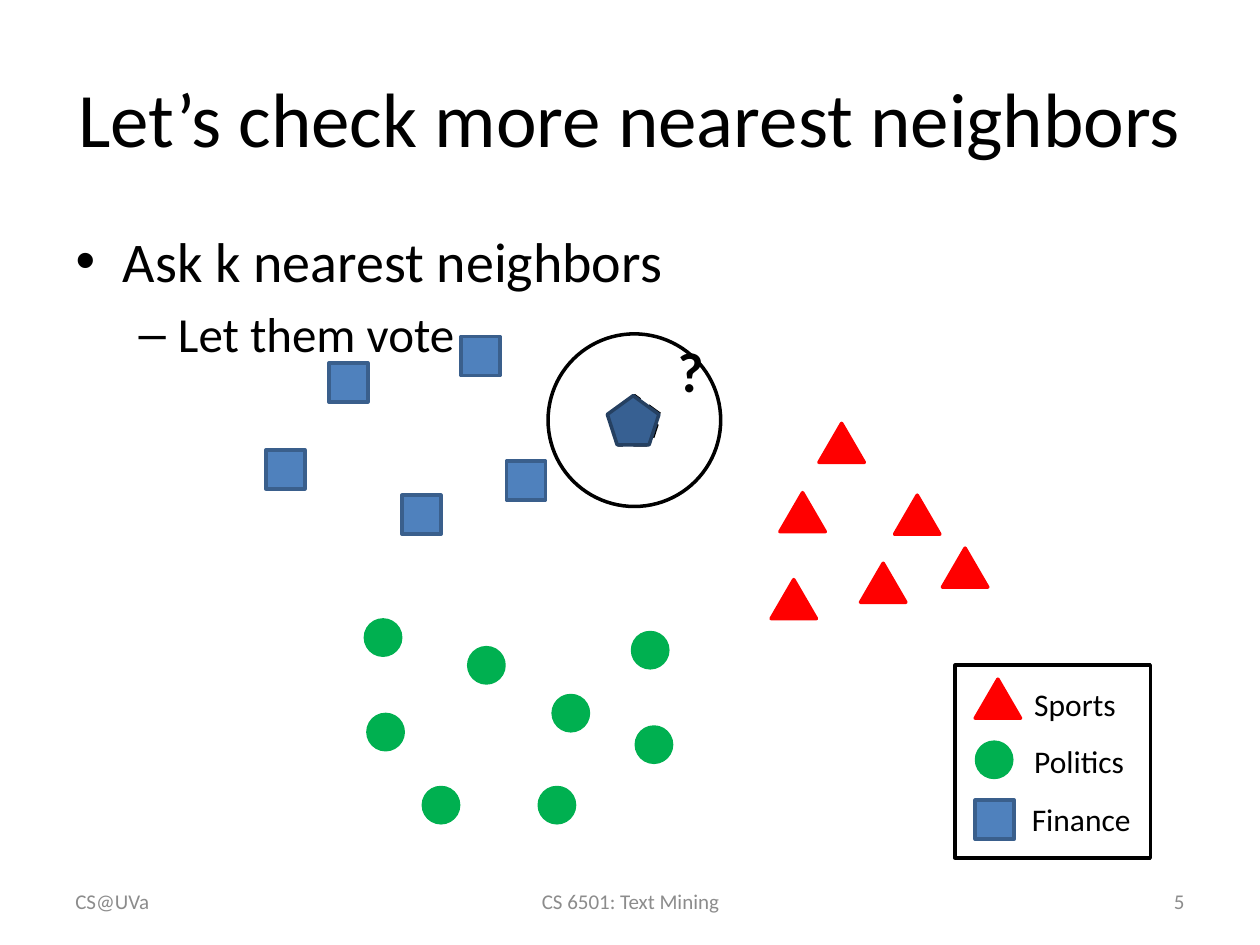
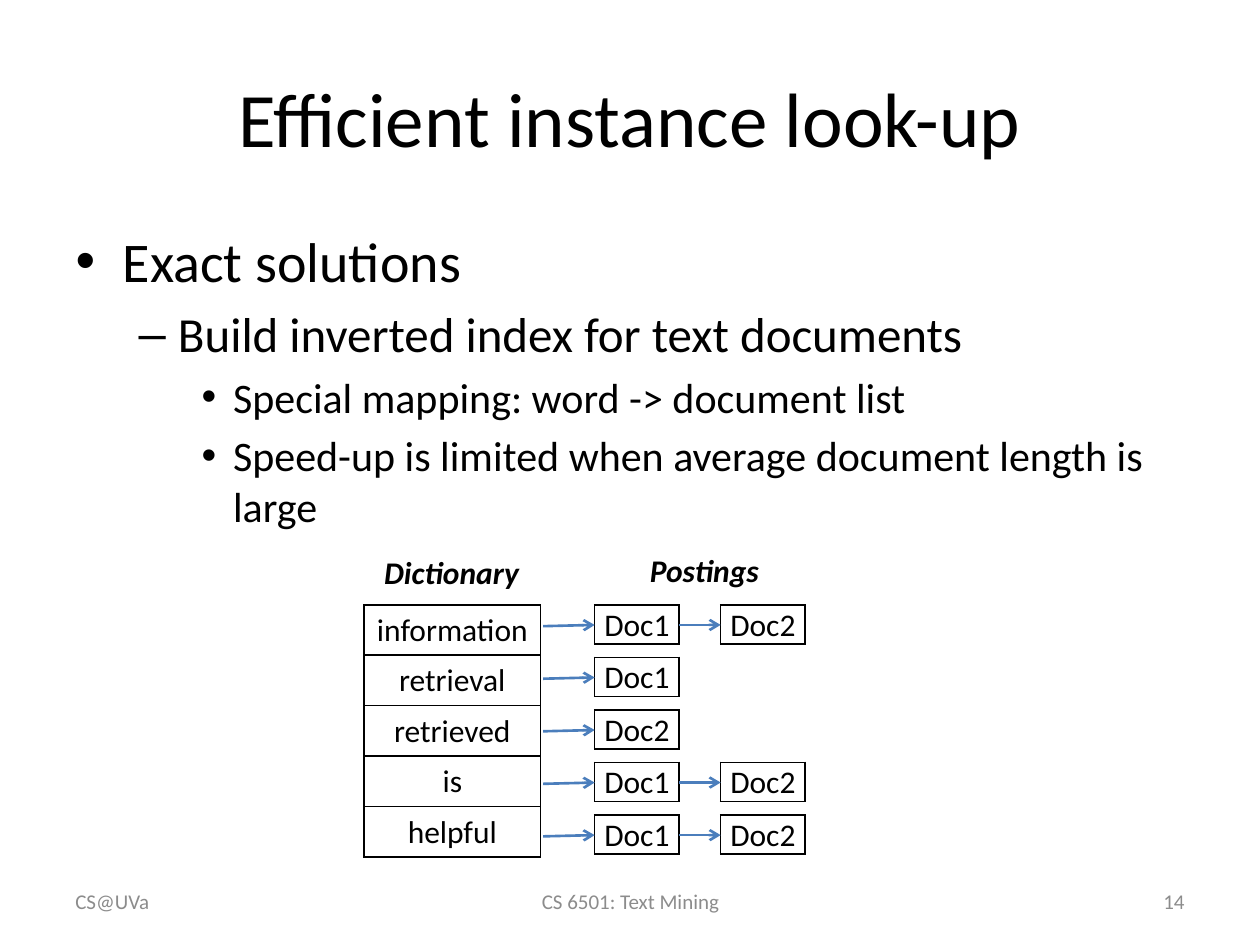
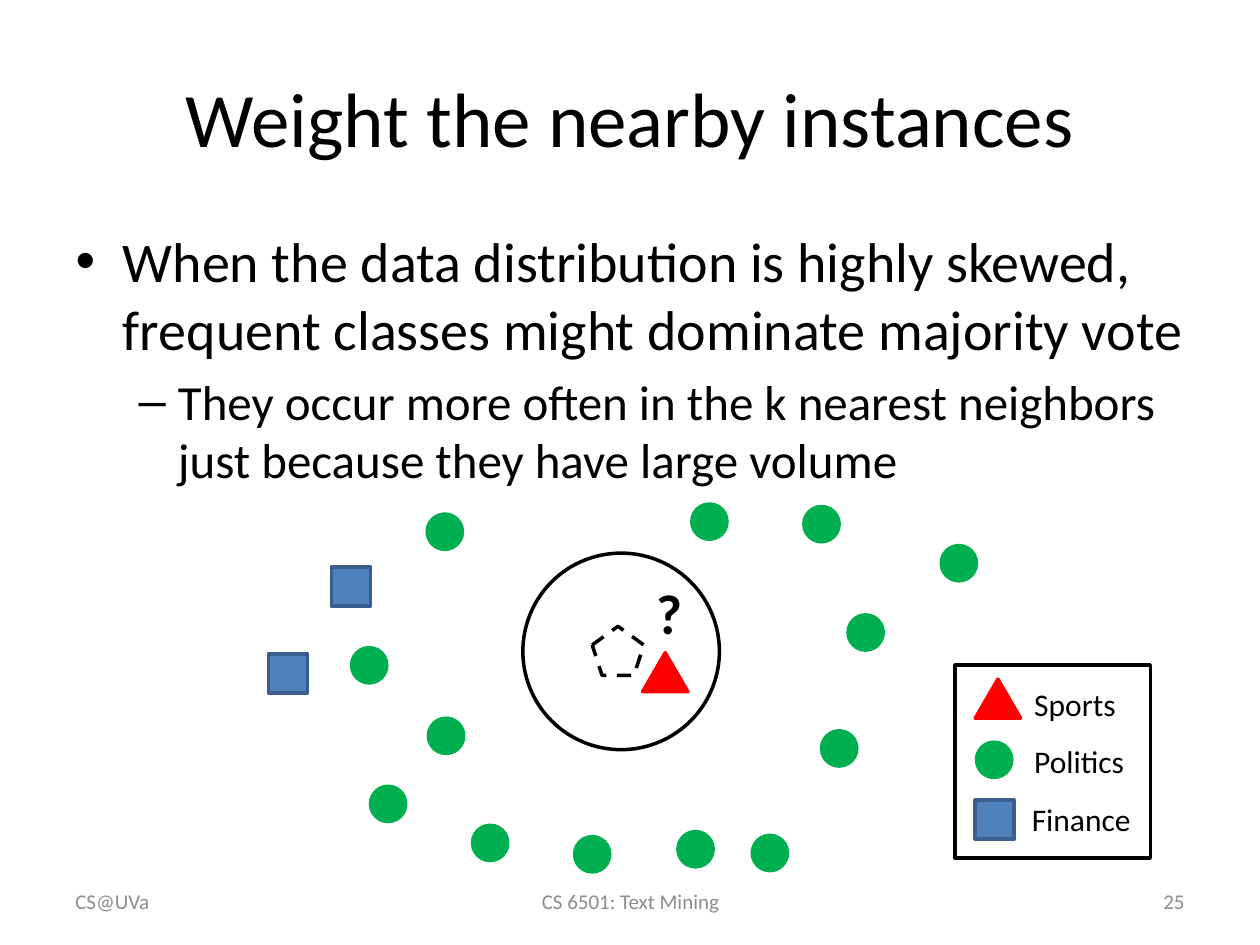
import lxml.etree
import pptx
import pptx.dml.color
import pptx.enum.dml
import pptx.enum.shapes
import pptx.enum.text
import pptx.oxml.ns
import pptx.util

COLORS = {
    "ink": "000000",
    "footer": "8C8C8C",
    "sports": "FF0000",
    "politics": "00B050",
    "finance": "4F81BD",
    "finance edge": "3A5F8C",
    "query": "376092",
    "query edge": "254061",
    "arrow": "4B7EBC",
}
RGB = {name: pptx.dml.color.RGBColor.from_string(code) for name, code in COLORS.items()}
GEOMETRY = pptx.enum.shapes.MSO_SHAPE
ALIGN = pptx.enum.text.PP_ALIGN
MIDDLE = pptx.enum.text.MSO_ANCHOR.MIDDLE
qn = pptx.oxml.ns.qn

deck = pptx.Presentation()
deck.slide_width = pptx.util.Inches(10)
deck.slide_height = pptx.util.Inches(7.5)
COLUMN = deck.slide_width / 100
ROW = deck.slide_height / 75

TITLE_BOX = (5, 3, 90, 12.5)
BODY_BOX = (5, 17.5, 90, 49.5)
LEVEL_SIZES = [32, 28, 24]
LABEL = {"name": "Calibri", "size": pptx.util.Pt(18)}
HEADING = LABEL | {"bold": True, "italic": True}
QUESTION = {"name": "Calibri", "size": pptx.util.Pt(32), "bold": True}
FOOTNOTE = {"name": "Calibri", "size": pptx.util.Pt(12)}
CLASSES = {
    "Sports": (GEOMETRY.ISOSCELES_TRIANGLE, 3.6, 3.1, "sports", "sports"),
    "Politics": (GEOMETRY.OVAL, 2.8, 2.8, "politics", "politics"),
    "Finance": (GEOMETRY.RECTANGLE, 3.1, 3.1, "finance", "finance edge"),
}
LEGEND = [
    ("Sports", 77.4, 53.9, 81.1, 53.9),
    ("Politics", 77.5, 58.9, 81.1, 58.4),
    ("Finance", 77.4, 63.5, 80.9, 63),
]


def draw(shapes, geometry, left, top, width, height, fill, edge):
    mark = shapes.add_shape(
        geometry, int(left * COLUMN), int(top * ROW), int(width * COLUMN), int(height * ROW))
    mark.shadow.inherit = False
    if fill:
        mark.fill.solid()
        mark.fill.fore_color.rgb = RGB[fill]
    else:
        mark.fill.background()
    mark.line.color.rgb = RGB[edge]
    mark.line.width = pptx.util.Pt(2)
    return mark


def write(shapes, words, left, top, width, height, font_format, color="ink", align=ALIGN.LEFT):
    label = shapes.add_textbox(
        int(left * COLUMN), int(top * ROW), int(width * COLUMN), int(height * ROW))
    label.text_frame.word_wrap = True
    label.text_frame.vertical_anchor = MIDDLE
    paragraph = label.text_frame.paragraphs[0]
    paragraph.alignment = align
    run = paragraph.add_run()
    run.text = words
    for attribute, value in font_format.items():
        setattr(run.font, attribute, value)
    run.font.color.rgb = RGB[color]


pages = [
    {
        "title": "Let’s check more nearest neighbors",
        "number": "5",
        "points": [(0, "Ask k nearest neighbors"), (1, "Let them vote")],
        "instances": {
            "Finance": [(26.1, 28.8), (21.1, 35.7), (31.9, 39.3), (36.6, 26.7), (40.2, 36.6)],
            "Sports": [(65, 33.6), (61.9, 39.1), (61.2, 46), (74.8, 43.5), (71, 39.3),
                       (68.3, 44.7)],
            "Politics": [(29, 49.2), (37.2, 51.4), (43.9, 55.2), (42.8, 62.5), (33.6, 62.5),
                         (29.2, 56.7), (50.2, 50.2), (50.5, 57.7)],
        },
        "question": (52.8, 26.2),
        "query": (48.3, 31.4),
        "answer": (48.2, 31.4),
        "neighborhood": (43.5, 26.5, 13.7, 13.7),
    },
    {
        "title": "Efficient instance look-up",
        "number": "14",
        "points": [
            (0, "Exact solutions"),
            (1, "Build inverted index for text documents"),
            (2, "Special mapping: word -> document list"),
            (2, "Speed-up is limited when average document length is large"),
        ],
    },
    {
        "title": "Weight the nearby instances",
        "number": "25",
        "points": [
            (0, "When the data distribution is highly skewed, "
                "frequent classes might dominate majority vote"),
            (1, "They occur more often in the k nearest neighbors "
                "just because they have large volume"),
        ],
        "instances": {
            "Sports": [(51, 51.8)],
            "Politics": [(27.9, 51.4), (45.6, 66.4), (37.5, 65.5), (34, 57), (65.2, 58),
                         (53.8, 66), (33.9, 40.8), (59.7, 66.3), (67.3, 48.8), (63.8, 40.2),
                         (29.4, 62.4), (54.9, 40), (74.7, 43.3)],
            "Finance": [(26.3, 45), (21.3, 51.9)],
        },
        "question": (51.1, 45.4),
        "query": (47, 49.7),
        "neighborhood": (41.5, 43.9, 15.6, 15.6),
    },
]

for page in pages:
    slide = deck.slides.add_slide(deck.slide_layouts[1])
    shapes = slide.shapes
    title, body = slide.placeholders
    for holder, box in [(title, TITLE_BOX), (body, BODY_BOX)]:
        for attribute, length, unit in zip(
                ("left", "top", "width", "height"), box, (COLUMN, ROW, COLUMN, ROW)):
            setattr(holder, attribute, int(length * unit))
        holder.text_frame.auto_size = pptx.enum.text.MSO_AUTO_SIZE.NONE
    title.text_frame.text = page["title"]
    title.text_frame.vertical_anchor = MIDDLE
    body.text_frame.text = "\n".join(words for level, words in page["points"])
    for paragraph, (level, words) in zip(body.text_frame.paragraphs, page["points"]):
        paragraph.level = level
        paragraph.font.size = pptx.util.Pt(LEVEL_SIZES[level])
    title.text_frame.paragraphs[0].font.size = pptx.util.Pt(44)
    for paragraph in title.text_frame.paragraphs + body.text_frame.paragraphs:
        for run in paragraph.runs:
            run.font.name = "Calibri"
            run.font.color.rgb = RGB["ink"]

    for words, left, width, align in [
            ("CS@UVa", 5, 23.3, ALIGN.LEFT),
            ("CS 6501: Text Mining", 34.2, 31.7, ALIGN.CENTER),
            (page["number"], 71.7, 23.3, ALIGN.RIGHT)]:
        write(shapes, words, left, 69.5, width, 4, FOOTNOTE, "footer", align)

    if "instances" not in page:
        continue
    for topic, positions in page["instances"].items():
        geometry, width, height, fill, edge = CLASSES[topic]
        for left, top in positions:
            draw(shapes, geometry, left, top, width, height, fill, edge)
    write(shapes, "?", *page["question"], 9, 6.4, QUESTION)
    query = draw(shapes, GEOMETRY.REGULAR_PENTAGON, *page["query"], 4.1, 3.9, None, "ink")
    query.line.dash_style = pptx.enum.dml.MSO_LINE.DASH

    legend = shapes.add_group_shape().shapes
    for topic, left, top, label_left, label_top in LEGEND:
        geometry, width, height, fill, edge = CLASSES[topic]
        draw(legend, geometry, left, top, width, height, fill, edge)
        write(legend, topic, label_left, label_top, 13.9, 4, LABEL)
    draw(legend, GEOMETRY.RECTANGLE, 75.8, 52.8, 15.5, 15.3, None, "ink")

    draw(shapes, GEOMETRY.OVAL, *page["neighborhood"], None, "ink")
    if "answer" in page:
        draw(shapes, GEOMETRY.REGULAR_PENTAGON, *page["answer"], 4.1, 3.9, "query", "query edge")

index_shapes = deck.slides[1].shapes
dictionary = ["information", "retrieval", "retrieved", "is", "helpful"]
postings = [["Doc1", "Doc2"], ["Doc1"], ["Doc2"], ["Doc1", "Doc2"], ["Doc1", "Doc2"]]
INDEX_TOP = 48
POSTING_STEP = 4.17
POSTING_LEFT = 47.2
POSTING_WIDTH = 6.7
POSTING_PITCH = 10

grids = [(28.9, INDEX_TOP, 14, 4, dictionary)]
arrows = []
for index, documents in enumerate(postings):
    top = INDEX_TOP + index * POSTING_STEP
    arrows.append((43.1, top + 1.7, POSTING_LEFT, top + 1.6))
    for place, document in enumerate(documents):
        left = POSTING_LEFT + place * POSTING_PITCH
        grids.append((left, top, POSTING_WIDTH, 3.1, [document]))
        if place:
            arrows.append((left - POSTING_PITCH + POSTING_WIDTH, top + 1.6, left, top + 1.6))

for left, top, width, row_height, entries in grids:
    grid = index_shapes.add_table(
        len(entries), 1, int(left * COLUMN), int(top * ROW),
        int(width * COLUMN), int(row_height * len(entries) * ROW)).table
    grid.first_row = False
    grid.horz_banding = False
    for index, entry in enumerate(entries):
        cell = grid.cell(index, 0)
        cell.text = entry
        cell.fill.background()
        cell.vertical_anchor = MIDDLE
        for side in ("left", "right", "top"):
            setattr(cell, f"margin_{side}", pptx.util.Inches(0.01))
        cell.margin_bottom = 0
        paragraph = cell.text_frame.paragraphs[0]
        paragraph.alignment = ALIGN.CENTER
        font = paragraph.runs[0].font
        for attribute, value in LABEL.items():
            setattr(font, attribute, value)
        font.color.rgb = RGB["ink"]
        properties = cell._tc.get_or_add_tcPr()
        for order, side in enumerate(("lnL", "lnR", "lnT", "lnB")):
            border = lxml.etree.Element(qn(f"a:{side}"), w=str(pptx.util.Pt(1)))
            paint = lxml.etree.SubElement(border, qn("a:solidFill"))
            lxml.etree.SubElement(paint, qn("a:srgbClr"), val=COLORS["ink"])
            properties.insert(order, border)

for start_left, start_top, end_left, end_top in arrows:
    arrow = index_shapes.add_connector(
        pptx.enum.shapes.MSO_CONNECTOR.STRAIGHT,
        int(start_left * COLUMN), int(start_top * ROW), int(end_left * COLUMN), int(end_top * ROW))
    arrow.line.color.rgb = RGB["arrow"]
    arrow.line.width = pptx.util.Pt(1.5)
    outline = arrow.element.spPr.find(qn("a:ln"))
    lxml.etree.SubElement(outline, qn("a:tailEnd"), type="arrow")
    lxml.etree.SubElement(arrow.element.spPr, qn("a:effectLst"))

for words, left, top in [("Dictionary", 29.5, 43.4), ("Postings", 50.6, 43.2)]:
    write(index_shapes, words, left, top, 15.3, 4, HEADING)

deck.save("out.pptx")
